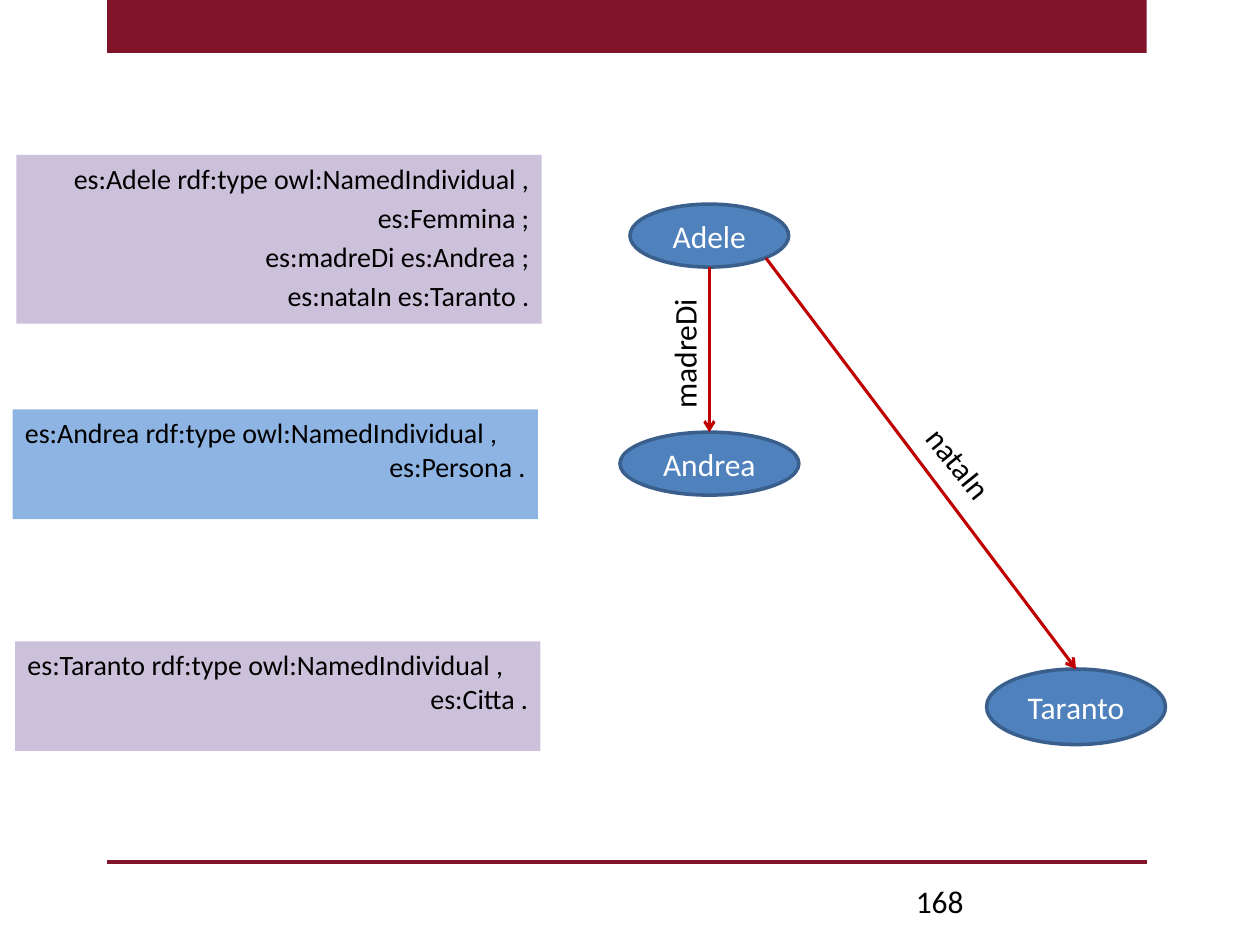
from dataclasses import dataclass

import pptx
import pptx.dml.color
import pptx.enum.shapes
import pptx.enum.text
import pptx.oxml.ns
import pptx.shapes.autoshape
import pptx.slide
import pptx.util
from lxml import etree

Inches = pptx.util.Inches
RGBColor = pptx.dml.color.RGBColor
SHAPE = pptx.enum.shapes.MSO_SHAPE
ALIGN = pptx.enum.text.PP_ALIGN
ANCHOR = pptx.enum.text.MSO_ANCHOR

MAROON = RGBColor(0x7F, 0x14, 0x2A)
LILAC = RGBColor(0xCC, 0xC1, 0xDA)
SKY = RGBColor(0x8E, 0xB4, 0xE3)
BLUE = RGBColor(0x4F, 0x81, 0xBD)
NAVY = RGBColor(0x3A, 0x5F, 0x8C)
RED = RGBColor(0xC0, 0x00, 0x00)
BLACK = RGBColor(0x00, 0x00, 0x00)
WHITE = RGBColor(0xFF, 0xFF, 0xFF)


@dataclass
class Box:
    left: float
    top: float
    width: float
    height: float

    def lengths(self) -> list[int]:
        return [Inches(v) for v in (self.left, self.top, self.width, self.height)]


@dataclass
class Statement:
    box: Box
    fill: RGBColor
    lines: list[str]
    aligns: list[ALIGN]
    gap: float = 0


@dataclass
class Node:
    name: str
    box: Box


@dataclass
class Edge:
    label: str
    start: tuple[float, float]
    end: tuple[float, float]
    label_box: Box
    rotation: float


def write(sp: pptx.shapes.autoshape.Shape, lines: list[str], *, size: float = 18,
          color: RGBColor = BLACK, aligns: list[ALIGN] | None = None,
          anchor: ANCHOR = ANCHOR.TOP, gap: float = 0, wrap: bool = True) -> None:
    tf = sp.text_frame
    tf.word_wrap = wrap
    tf.vertical_anchor = anchor
    aligns = aligns or [ALIGN.LEFT] * len(lines)
    for i, (line, align) in enumerate(zip(lines, aligns)):
        p = tf.paragraphs[0] if i == 0 else tf.add_paragraph()
        p.alignment = align
        p.space_before = pptx.util.Pt(gap if i else 0)
        r = p.add_run()
        r.text = line
        r.font.name = "Calibri"
        r.font.size = pptx.util.Pt(size)
        r.font.color.rgb = color


def add_shape(s: pptx.slide.Slide, kind: SHAPE, box: Box, fill: RGBColor,
              line: RGBColor | None = None) -> pptx.shapes.autoshape.Shape:
    sp = s.shapes.add_shape(kind, *box.lengths())
    sp.shadow.inherit = False
    sp.fill.solid()
    sp.fill.fore_color.rgb = fill
    if line is None:
        sp.line.fill.background()
    else:
        sp.line.color.rgb = line
        sp.line.width = pptx.util.Pt(2)
    return sp


def add_line(s: pptx.slide.Slide, start: tuple[float, float], end: tuple[float, float],
             color: RGBColor, width: float, arrow: bool = False) -> None:
    cx = s.shapes.add_connector(pptx.enum.shapes.MSO_CONNECTOR.STRAIGHT,
                                *(Inches(v) for v in start + end))
    cx.line.color.rgb = color
    cx.line.width = pptx.util.Pt(width)
    if arrow:
        ln = cx.line._get_or_add_ln()
        etree.SubElement(ln, pptx.oxml.ns.qn("a:tailEnd"), type="arrow")
    etree.SubElement(cx._element.spPr, pptx.oxml.ns.qn("a:effectLst"))


def add_statement(s: pptx.slide.Slide, st: Statement) -> None:
    sp = add_shape(s, SHAPE.RECTANGLE, st.box, st.fill)
    write(sp, st.lines, size=16, aligns=st.aligns, gap=st.gap)


def add_node(s: pptx.slide.Slide, node: Node) -> None:
    sp = add_shape(s, SHAPE.OVAL, node.box, BLUE, NAVY)
    write(sp, [node.name], color=WHITE, aligns=[ALIGN.CENTER], anchor=ANCHOR.MIDDLE)


def add_edge(s: pptx.slide.Slide, edge: Edge) -> None:
    add_line(s, edge.start, edge.end, RED, 1.75, arrow=True)
    sp = s.shapes.add_textbox(*edge.label_box.lengths())
    sp.rotation = edge.rotation
    write(sp, [edge.label], wrap=False)


STATEMENTS = [
    Statement(Box(0.13, 1.23, 4.17, 1.34), LILAC,
              ["es:Adele rdf:type owl:NamedIndividual ,", "es:Femmina ;",
               "es:madreDi es:Andrea ;", "es:nataIn es:Taranto ."],
              [ALIGN.RIGHT] * 4, gap=3.2),
    Statement(Box(0.1, 3.25, 4.17, 0.87), SKY,
              ["es:Andrea rdf:type owl:NamedIndividual ,", "es:Persona ."],
              [ALIGN.LEFT, ALIGN.RIGHT]),
    Statement(Box(0.12, 5.09, 4.17, 0.87), LILAC,
              ["es:Taranto rdf:type owl:NamedIndividual ,", "es:Citta ."],
              [ALIGN.LEFT, ALIGN.RIGHT]),
]
NODES = [
    Node("Adele", Box(5, 1.62, 1.26, 0.5)),
    Node("Andrea", Box(4.92, 3.43, 1.42, 0.5)),
    Node("Taranto", Box(7.83, 5.31, 1.42, 0.6)),
]
EDGES = [
    Edge("madreDi", (5.63, 2.12), (5.63, 3.43), Box(4.89, 2.6, 1.08, 0.4), 270),
    Edge("nataIn", (6.08, 2.05), (8.54, 5.31), Box(7.19, 3.48, 0.85, 0.4), 51.3),
]


def main() -> None:
    prs = pptx.Presentation()
    prs.slide_width, prs.slide_height = Inches(10), Inches(7.5)
    s = prs.slides.add_slide(prs.slide_layouts[6])
    add_shape(s, SHAPE.RECTANGLE, Box(0.85, 0, 8.25, 0.42), MAROON)
    add_line(s, (0.85, 6.84), (9.1, 6.84), MAROON, 2)
    for st in STATEMENTS:
        add_statement(s, st)
    for node in NODES:
        add_node(s, node)
    for edge in EDGES:
        add_edge(s, edge)
    number = s.shapes.add_textbox(*Box(7.17, 6.95, 2.33, 0.4).lengths())
    write(number, ["168"])
    prs.save("out.pptx")


if __name__ == "__main__":
    main()
